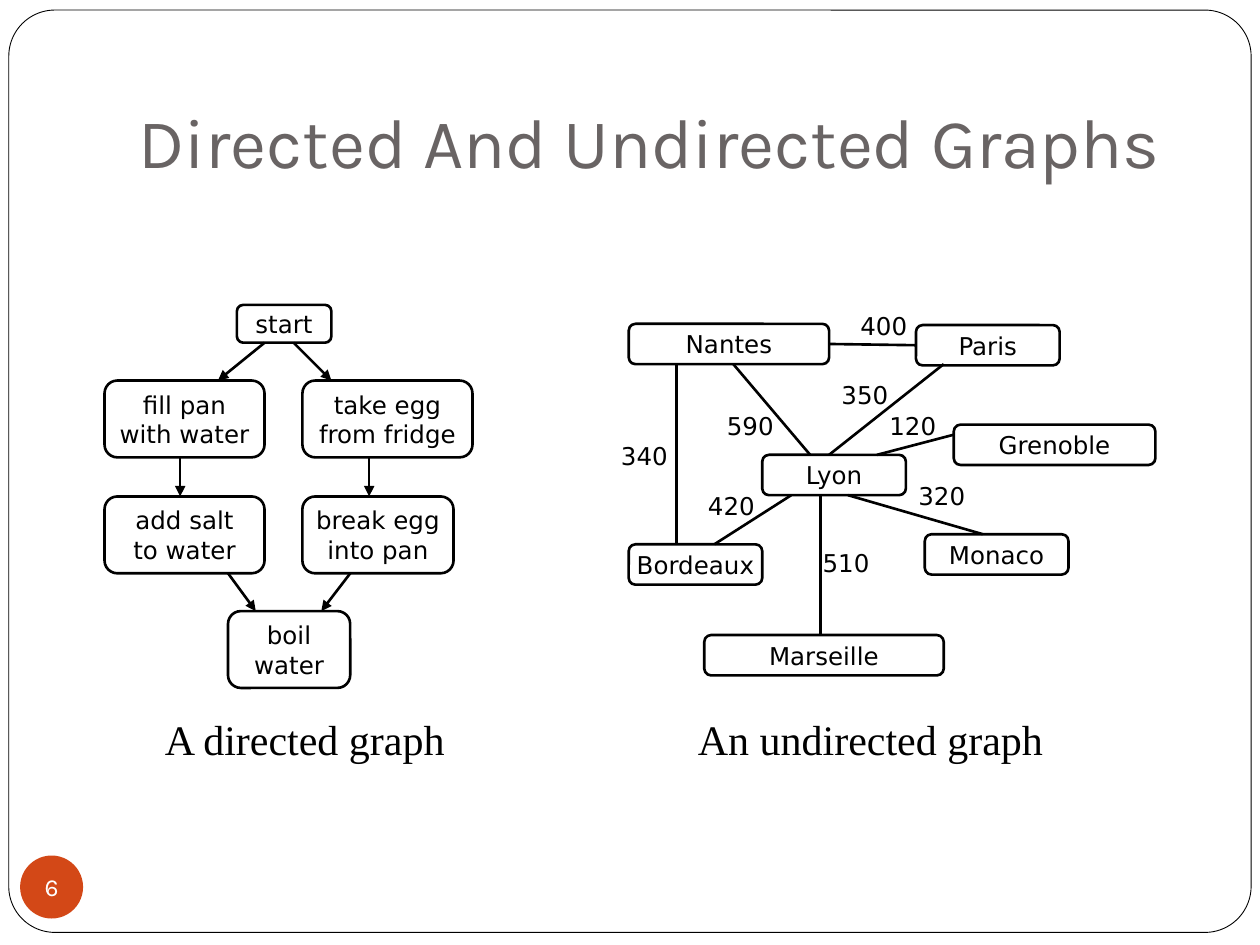
from dataclasses import dataclass

from lxml import etree
from pptx import Presentation
from pptx.dml.color import RGBColor
from pptx.enum.shapes import MSO_CONNECTOR, MSO_SHAPE
from pptx.enum.text import MSO_ANCHOR, MSO_AUTO_SIZE, PP_ALIGN
from pptx.oxml.ns import qn
from pptx.util import Emu, Pt

STRAIGHT = MSO_CONNECTOR.STRAIGHT
ROUNDED = MSO_SHAPE.ROUNDED_RECTANGLE
PROCESS = MSO_SHAPE.FLOWCHART_ALTERNATE_PROCESS
OVAL = MSO_SHAPE.OVAL
FIXED_SIZE = MSO_AUTO_SIZE.NONE
LEFT, CENTER = PP_ALIGN.LEFT, PP_ALIGN.CENTER
TOP, MIDDLE, BOTTOM = MSO_ANCHOR.TOP, MSO_ANCHOR.MIDDLE, MSO_ANCHOR.BOTTOM
LEFT_SIDE, RIGHT_SIDE = 1, 3
EMU_PER_PX = 9144


def px(*lengths):
    return [Emu(length * EMU_PER_PX) for length in lengths]


@dataclass(frozen=True)
class Theme:
    ink: RGBColor = RGBColor(0x00, 0x00, 0x00)
    paper: RGBColor = RGBColor(0xFF, 0xFF, 0xFF)
    heading: RGBColor = RGBColor(0x69, 0x64, 0x64)
    accent: RGBColor = RGBColor(0xD3, 0x48, 0x17)
    heading_font: str = "Karla"
    graph_font: str = "DejaVu Sans"
    caption_font: str = "Times New Roman"
    heading_size: int = 40
    caption_size: int = 24
    graph_size: int = 14
    frame_width: float = 0.5
    line_width: float = 1.5


class Painter:
    def __init__(self, slide, theme):
        self.slide = slide
        self.theme = theme

    def set_text(self, shape, text, font, size, color, align=LEFT, anchor=TOP, wrap=True):
        frame = shape.text_frame
        frame.word_wrap = wrap
        frame.auto_size = FIXED_SIZE
        frame.vertical_anchor = anchor
        para = frame.paragraphs[0]
        para.text = text
        para.alignment = align
        for span in para.runs:
            span.font.name = font
            span.font.size = Pt(size)
            span.font.color.rgb = color

    def shape(self, kind, box, fill=None, line_width=None):
        shape = self.slide.shapes.add_shape(kind, *px(*box))
        shape.shadow.inherit = False
        if fill is None:
            shape.fill.background()
        else:
            shape.fill.solid()
            shape.fill.fore_color.rgb = fill
        if line_width is None:
            shape.line.fill.background()
        else:
            shape.line.color.rgb = self.theme.ink
            shape.line.width = Pt(line_width)
        return shape

    def title(self, text, box):
        title = self.slide.shapes.title
        title.left, title.top, title.width, title.height = px(*box)
        theme = self.theme
        self.set_text(title, text, theme.heading_font, theme.heading_size,
                      theme.heading, anchor=BOTTOM)
        title.text_frame.margin_bottom = px(10)[0]

    def frame(self, box):
        frame = self.shape(ROUNDED, box, self.theme.paper, self.theme.frame_width)
        frame.adjustments[0] = 0.05
        self.slide.shapes.title.element.addprevious(frame.element)

    def badge(self, text, box):
        theme = self.theme
        badge = self.shape(OVAL, box, theme.accent)
        self.set_text(badge, text, theme.heading_font, theme.graph_size,
                      theme.paper, CENTER, MIDDLE, False)

    def node(self, kind, text, box):
        theme = self.theme
        node = self.shape(kind, box, line_width=theme.line_width)
        self.set_text(node, text, theme.graph_font, theme.graph_size,
                      theme.ink, CENTER, MIDDLE, False)
        return node

    def edge(self, start, end, arrow=False):
        edge = self.slide.shapes.add_connector(STRAIGHT, *px(*start, *end))
        edge.line.color.rgb = self.theme.ink
        edge.line.width = Pt(self.theme.line_width)
        properties = edge.element.spPr
        if arrow:
            etree.SubElement(properties.find(qn("a:ln")), qn("a:tailEnd"), type="triangle")
        etree.SubElement(properties, qn("a:effectLst"))
        return edge

    def label(self, text, box, font, size):
        label = self.slide.shapes.add_textbox(*px(*box))
        self.set_text(label, text, font, size, self.theme.ink)

    def distance(self, text, left, top):
        self.label(text, (left, top, 61, 33), self.theme.graph_font, self.theme.graph_size)

    def caption(self, text, left, width):
        self.label(text, (left, 561, width, 50), self.theme.caption_font,
                   self.theme.caption_size)


STEPS = [
    ("start", (188, 242, 75, 30)),
    ("fill pan\nwith water", (83, 302, 127, 61)),
    ("take egg\nfrom fridge", (240, 302, 135, 61)),
    ("add salt\nto water", (83, 394, 127, 61)),
    ("break egg\ninto pan", (240, 394, 120, 61)),
    ("boil\nwater", (181, 485, 97, 61)),
]
ARROWS = [
    ((210, 272), (173, 302)),
    ((233, 272), (263, 302)),
    ((143, 363), (143, 394)),
    ((293, 363), (293, 394)),
    ((181, 455), (203, 485)),
    ((278, 455), (255, 485)),
]
CITY_HEIGHT = 32
CITIES = [
    ("Nantes", 499, 257, 159),
    ("Paris", 727, 258, 114),
    ("Lyon", 605, 361, 114),
    ("Grenoble", 757, 337, 160),
    ("Bordeaux", 499, 432, 106),
    ("Marseille", 559, 504, 190),
    ("Monaco", 734, 424, 114),
]
ROADS = [
    ("340", (483, 345), (537, 289), (537, 432)),
    ("590", (567, 321), (643, 361), (582, 289)),
    ("350", (658, 297), (658, 361), (749, 289)),
    ("120", (696, 321), (696, 361), (757, 345)),
    ("320", (719, 377), (673, 393), (780, 424)),
    ("510", (643, 430), (651, 393), (651, 504)),
    ("420", (552, 385), (567, 432), (628, 393)),
]


def draw_directed(painter):
    for text, box in STEPS:
        painter.node(PROCESS, text, box)
    for start, end in ARROWS:
        painter.edge(start, end, arrow=True)
    painter.caption("A directed graph", 121, 254)


def draw_undirected(painter):
    cities = {
        name: painter.node(ROUNDED, name, (left, top, width, CITY_HEIGHT))
        for name, left, top, width in CITIES
    }
    for distance, place, start, end in ROADS:
        painter.edge(start, end)
        painter.distance(distance, *place)
    road = painter.edge((658, 273), (727, 274))
    road.begin_connect(cities["Nantes"], RIGHT_SIDE)
    road.end_connect(cities["Paris"], LEFT_SIDE)
    painter.distance("400", 673, 242)
    painter.caption("An undirected graph", 544, 304)


def main():
    deck = Presentation()
    deck.slide_width, deck.slide_height = px(1000, 750)
    page = deck.slides.add_slide(deck.slide_layouts[5])
    painter = Painter(page, Theme())
    painter.title("Directed And Undirected Graphs", (100, 30, 850, 125))
    painter.frame((7, 8, 986, 732))
    painter.badge("6", (16, 679, 50, 50))
    draw_undirected(painter)
    draw_directed(painter)
    deck.save("out.pptx")


if __name__ == "__main__":
    main()
